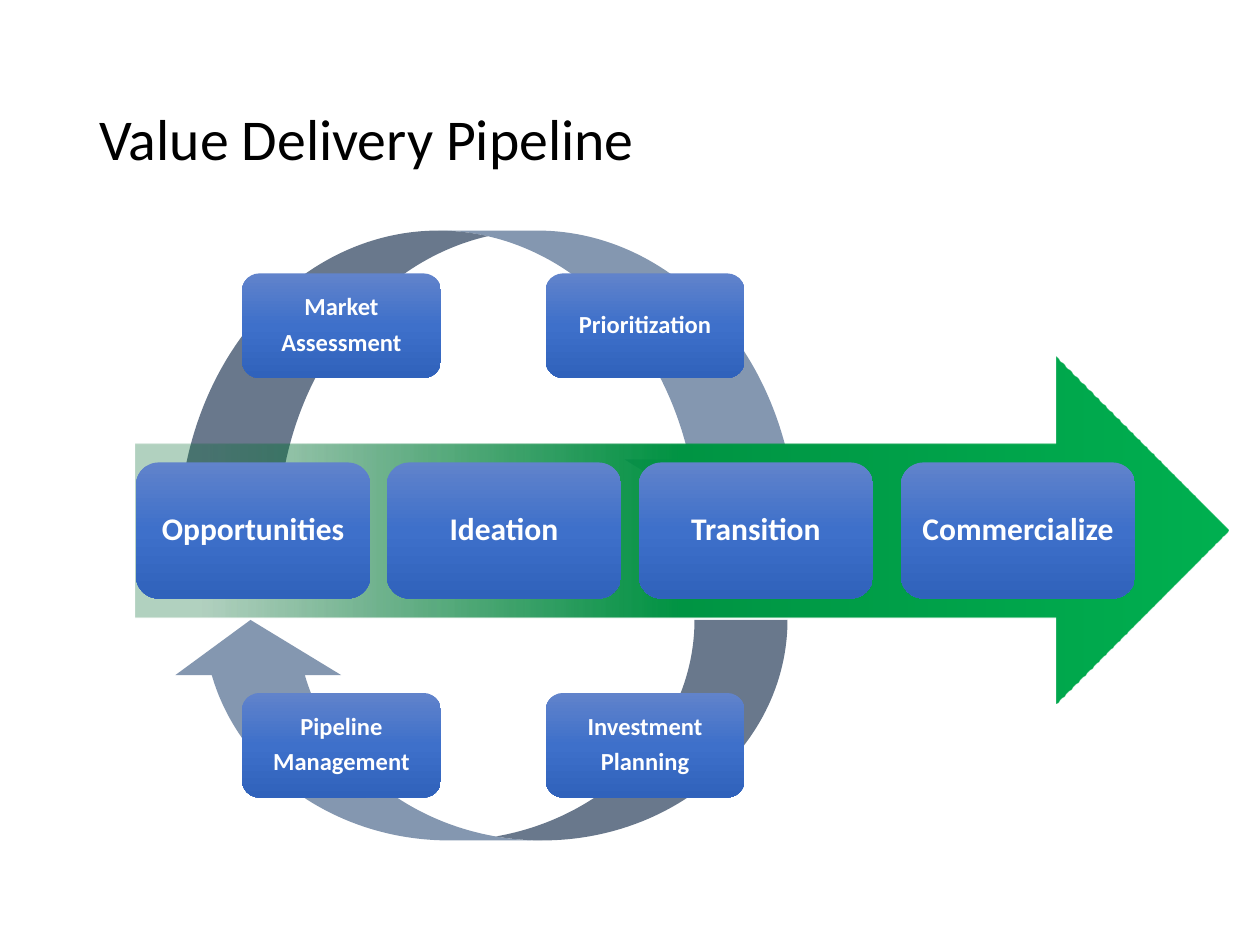
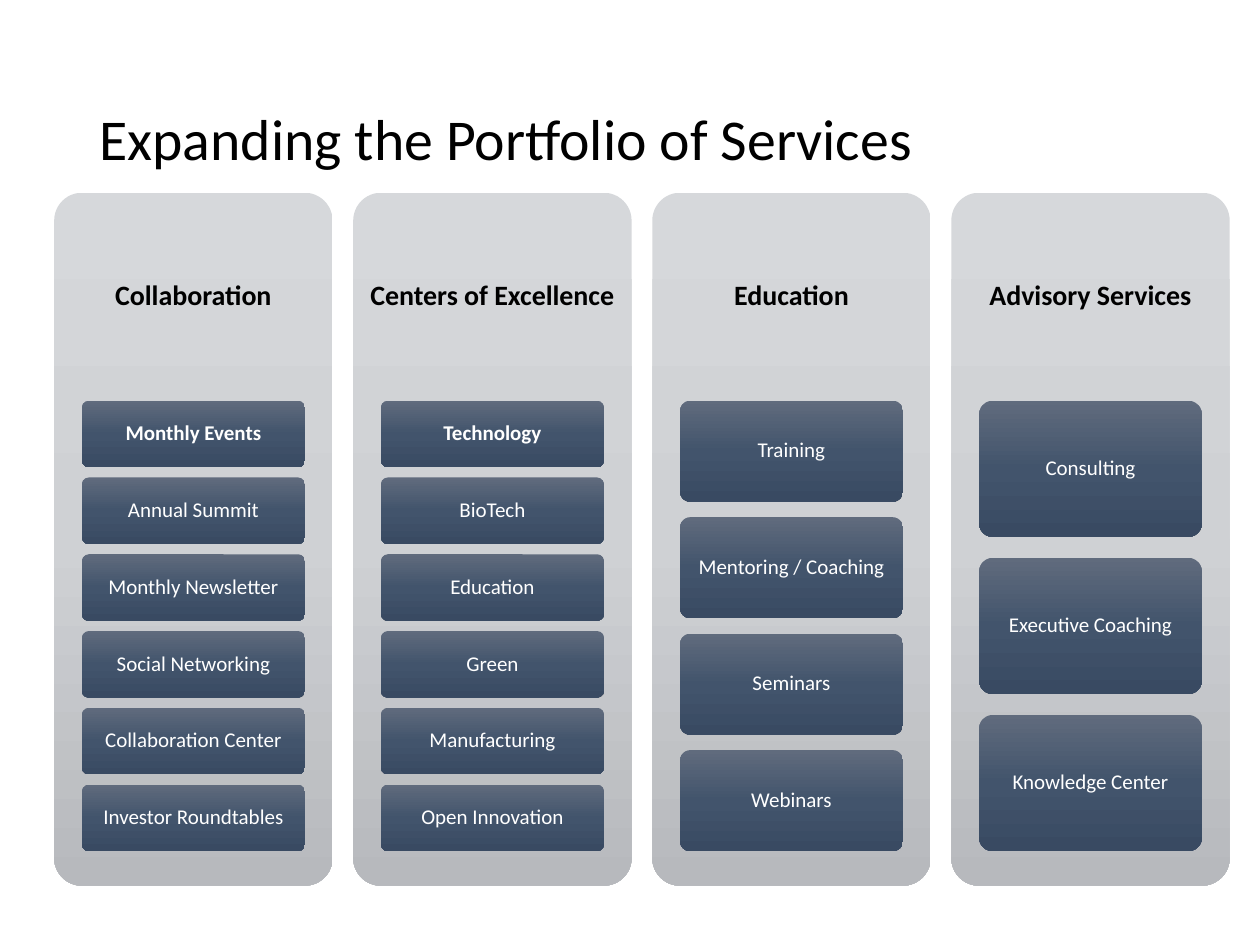
from copy import deepcopy

from lxml.etree import SubElement
from pptx import Presentation
from pptx.dml.color import RGBColor
from pptx.enum.shapes import MSO_SHAPE
from pptx.enum.text import MSO_ANCHOR, PP_ALIGN
from pptx.oxml.ns import qn
from pptx.util import Inches, Pt

ROUND = MSO_SHAPE.ROUNDED_RECTANGLE
CURVE = MSO_SHAPE.CURVED_DOWN_ARROW
ARROW = MSO_SHAPE.RIGHT_ARROW
MID = MSO_ANCHOR.MIDDLE
LEFT, CENTER = PP_ALIGN.LEFT, PP_ALIGN.CENTER

WIDE, HIGH = 10, 7.5
BLACK, WHITE, STEEL = "000000", "FFFFFF", "8497B0"
BLUE = ("6183CB", "3E70CA", "3062BB")
GREEN = ("00682F", "009443", "00B050")
GREY = ("D6D8DB", "CFD1D4", "B7B9BD")
SLATE = ("606B7D", "42546C", "394A62")

TITLE = {"size": Pt(33), "bold": False}
STAGE = {"size": Pt(18), "bold": True}
STEP = {"size": Pt(14), "bold": True}
HEAD = {"size": Pt(16), "bold": True}
ITEM = {"size": Pt(12), "bold": False}


def paint(fill, *tones, angle=270):
    """Fill with one colour, or with a gradient of three."""
    if len(tones) == 1:
        fill.solid()
        fill.fore_color.rgb = RGBColor.from_string(tones[0])
        return
    fill.gradient()
    fill.gradient_angle = angle
    first = fill.gradient_stops[0]._gs
    first.addnext(deepcopy(first))
    for i, (stop, tone) in enumerate(zip(fill.gradient_stops, tones)):
        stop.color.rgb = RGBColor.from_string(tone)
        stop.position = i / 2


def block(slide, box, kind=None, tones=(), text="", style=ITEM, ink=WHITE,
          inset=0.07, align=CENTER, adjust=()):
    """Add a shape, or a text box when no kind is given."""
    area = [Inches(n) for n in box]
    if kind is None:
        shape = slide.shapes.add_textbox(*area)
    else:
        shape = slide.shapes.add_shape(kind, *area)
        shape.shadow.inherit = False
        shape.line.fill.background()
        paint(shape.fill, *tones, angle=0 if kind == ARROW else 270)
        for i, value in enumerate(adjust):
            shape.adjustments[i] = value
    if not text:
        return shape
    frame = shape.text_frame
    frame.word_wrap = True
    frame.vertical_anchor = MID
    for side in ("left", "right", "top", "bottom"):
        setattr(frame, f"margin_{side}", Inches(inset))
    frame.text = text
    for para in frame.paragraphs:
        para.alignment = align
        para.line_spacing = 0.9
        para.space_after = Pt(round(style["size"].pt * 0.35))
        para.font.name = "Calibri"
        for name, value in style.items():
            setattr(para.font, name, value)
        paint(para.font.fill, ink)
    return shape


deck = Presentation()
deck.slide_width, deck.slide_height = Inches(WIDE), Inches(HIGH)
blank = deck.slide_layouts[6]

pages = []
for title in ("Value Delivery Pipeline", "Expanding the Portfolio of Services"):
    page = deck.slides.add_slide(blank)
    block(page, (0.69, 0.4, 8.62, 1.45), text=title, style=TITLE, ink=BLACK,
          inset=0.1, align=LEFT)
    pages.append(page)
flow, offer = pages

# Pipeline: a cycle of four steps behind a row of four stages
block(flow, (1.42, 1.83, 5.42, 2.42), CURVE, [STEEL], adjust=(0.325, 0.752, 0.25))
back = block(flow, (1.33, 4.92, 4.92, 1.75), CURVE, [STEEL],
             adjust=(0.422, 0.752, 0.25))
back.rotation = 180

arrow = block(flow, (1.08, 2.83, 8.67, 2.75), ARROW, GREEN)
start = arrow.fill.gradient_stops[0]
start.position = 0.06
SubElement(start._gs[0], qn("a:alpha"), val="30000")

stages = {"Opportunities": 1.08, "Ideation": 3.07, "Transition": 5.07,
          "Commercialize": 7.15}
for name, x in stages.items():
    block(flow, (x, 3.67, 1.86, 1.08), ROUND, BLUE, name, STAGE)

steps = (("Market\nAssessment", "Prioritization"),
         ("Pipeline\nManagement", "Investment\nPlanning"))
for row, names in enumerate(steps):
    for col, name in enumerate(names):
        box = (1.92 + 2.41 * col, 2.17 + 3.33 * row, 1.58, 0.83)
        block(flow, box, ROUND, BLUE, name, STEP, inset=0.1)

# Services: four columns, each shared out evenly among its items
services = {
    "Collaboration": ("Monthly Events", "Annual Summit", "Monthly Newsletter",
                      "Social Networking", "Collaboration Center",
                      "Investor Roundtables"),
    "Centers of Excellence": ("Technology", "BioTech", "Education", "Green",
                              "Manufacturing", "Open Innovation"),
    "Education": ("Training", "Mentoring / Coaching", "Seminars", "Webinars"),
    "Advisory Services": ("Consulting", "Executive Coaching",
                          "Knowledge Center"),
}
strong = ("Monthly Events", "Technology")
top, width, height = 1.53, 2.21, 5.5
pitch = (WIDE - 0.43 - 0.24 - width) / 3
gap = 2 / 13  # share of an item's height

for col, (head, items) in enumerate(services.items()):
    x = 0.43 + pitch * col
    block(offer, (x, top, width, height), ROUND, GREY, adjust=[0.1])
    block(offer, (x, top, width, 0.3 * height), text=head, style=HEAD, ink=BLACK)
    tall = 0.65 * height / (len(items) + gap * (len(items) - 1))
    for row, item in enumerate(items):
        y = top + 0.3 * height + row * tall * (1 + gap)
        style = ITEM | {"bold": item in strong}
        block(offer, (x + 0.1 * width, y, 0.8 * width, tall), ROUND, SLATE,
              item, style, inset=0.03, adjust=[0.1])

deck.save("out.pptx")
